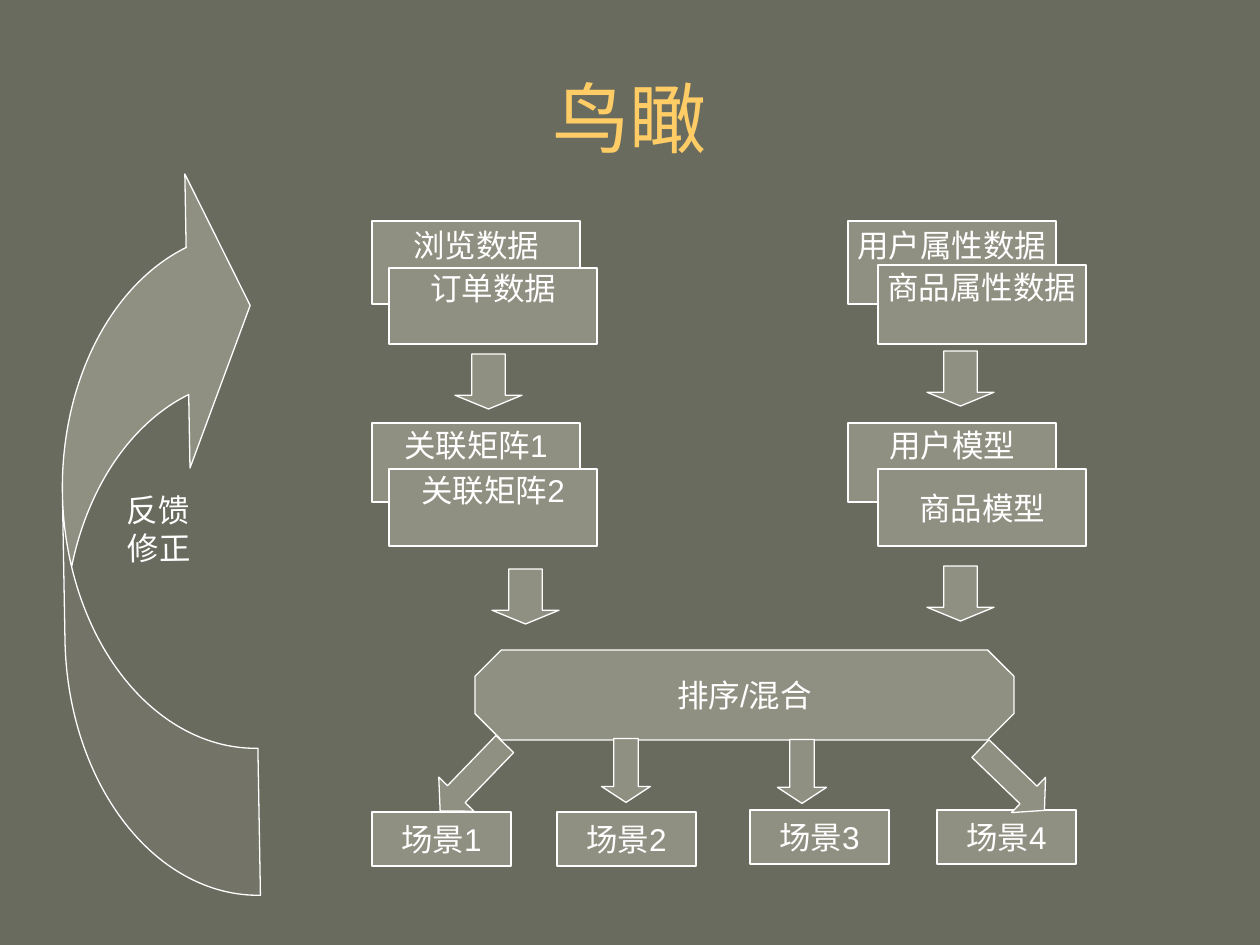
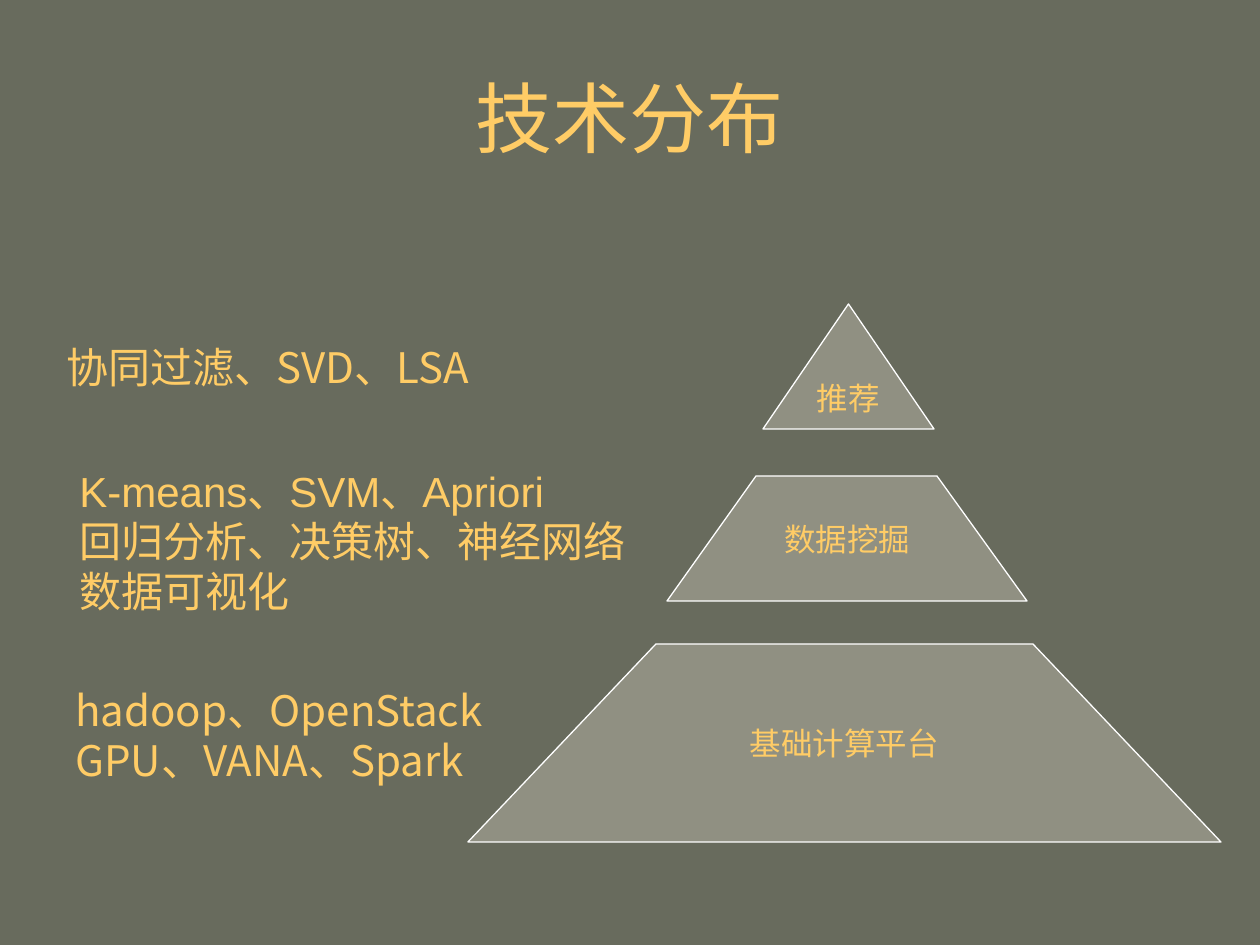
from dataclasses import dataclass

from lxml import etree
from pptx import Presentation
from pptx.dml.color import RGBColor
from pptx.enum import shapes, text
from pptx.oxml.ns import qn
from pptx.util import Pt

PX = 7257.14  # EMU per px, 126 px to the inch
KIND = shapes.MSO_SHAPE


@dataclass(frozen=True)
class Theme:
    ground: RGBColor = RGBColor.from_string("686B5D")
    panel: RGBColor = RGBColor.from_string("909082")
    white: RGBColor = RGBColor.from_string("FFFFFF")
    gold: RGBColor = RGBColor.from_string("FFCC66")
    latin: str = "Arial"
    cjk: str = "Noto Sans CJK SC"
    title_size: int = 44
    list_size: int = 24
    label_size: int = 18
    leading: float = 1.2
    outline: float = 0.75


THEME = Theme()

# ---- Content; every length is in px ----
TITLE_BOX = (63, 38, 1134, 157)
OVERVIEW = "鸟瞰"
STACK_W = 208
# label, left, top, height, whether the label sits above the middle
STACKS = [
    ("浏览数据", 372, 221, 83, True),
    ("用户属性数据", 848, 221, 83, True),
    ("订单数据", 389, 268, 76, True),
    ("商品属性数据", 878, 265, 79, True),
    ("用户模型", 848, 423, 79, True),
    ("商品模型", 878, 469, 77, False),
    ("关联矩阵1", 372, 423, 79, True),
    ("关联矩阵2", 389, 469, 77, True),
]
LIFT = 36  # bottom inset that raises a label
BLEND = ("排序/混合", (475, 650, 539, 90), 0.293)
SCENE_SIZE = (139, 54)
SCENES = [("场景1", 372, 812), ("场景2", 557, 812),
          ("场景3", 750, 810), ("场景4", 937, 810)]
FEEDBACK = (["反馈", "修正"], (63, 160, 191, 737), (0.77, 1.54, 0.33), 179)
FLOW_SIZE = (67, 55)
FLOWS = [(455, 354), (927, 351), (492, 569), (927, 566)]
SCENE_ARROW_H = 49
# left, top, length, rotation, head
SCENE_ARROWS = [(426, 753, 93, 134, 0.475), (594, 746, 64, 90, 0.326),
                (770, 747, 64, 90, 0.327), (968, 755, 89, 44, 0.452)]

TECHNOLOGY = "技术分布"
PEAK = ("推荐", (763, 304, 171, 125))
# label, font, top, bottom, upper edge (left, right), lower edge (left, right)
TIERS = [
    ("基础计算平台", THEME.cjk, 644, 842, (656, 1033), (468, 1221)),
    ("数据挖掘", THEME.latin, 476, 601, (756, 937), (667, 1027)),
]
TECH_LISTS = [
    (["K-means、SVM、Apriori", "回归分析、决策树、神经网络", "数据可视化"],
     THEME.latin, (67, 459, 640, 164)),
    (["协同过滤、SVD、LSA"], THEME.cjk, (54, 335, 459, 63)),
    (["hadoop、OpenStack", "GPU、VANA、Spark"], THEME.cjk, (63, 678, 580, 113)),
]


# ---- Helpers ----
def emu(*lengths):
    return [round(length * PX) for length in lengths]


def write(frame, lines, size, color, font=THEME.latin, centred=True):
    frame.text = "\n".join(lines)
    for line in frame.paragraphs:
        line.alignment = text.PP_ALIGN.CENTER if centred else text.PP_ALIGN.LEFT
        line.line_spacing = Pt(round(size * THEME.leading, 1))
        line.font.size = Pt(size)
        line.font.name = font
        line.font.color.rgb = color
        east_asian = etree.Element(qn("a:ea"), typeface=THEME.cjk)
        line.font._element.find(qn("a:latin")).addnext(east_asian)


def dress(part, lines=(), color=THEME.white, font=THEME.latin):
    part.shadow.inherit = False
    part.fill.solid()
    part.fill.fore_color.rgb = THEME.panel
    part.line.color.rgb = THEME.white
    part.line.width = Pt(THEME.outline)
    if lines:
        frame = part.text_frame
        frame.word_wrap = False
        frame.vertical_anchor = text.MSO_ANCHOR.MIDDLE
        write(frame, lines, THEME.label_size, color, font)
    return part


def add_part(slide, kind, box, lines=(), adjust=(), rotation=0, color=THEME.white):
    part = slide.shapes.add_shape(kind, *emu(*box))
    for index, value in enumerate(adjust):
        part.adjustments[index] = value
    part.rotation = rotation
    return dress(part, lines, color)


def add_titled_slide(prs, heading):
    slide = prs.slides.add_slide(prs.slide_layouts[5])
    title = slide.shapes.title
    title.left, title.top, title.width, title.height = emu(*TITLE_BOX)
    title.text_frame.vertical_anchor = text.MSO_ANCHOR.MIDDLE
    write(title.text_frame, [heading], THEME.title_size, THEME.gold)
    return slide


# ---- Slides ----
def build_overview(prs):
    slide = add_titled_slide(prs, OVERVIEW)

    # Data and model boxes
    for label, left, top, height, lifted in STACKS:
        box = add_part(slide, KIND.RECTANGLE, (left, top, STACK_W, height), [label])
        if lifted:
            box.text_frame.margin_top = 0
            box.text_frame.margin_bottom = emu(LIFT)[0]

    # Blending step and the scenes it feeds
    label, box, corner = BLEND
    add_part(slide, KIND.OCTAGON, box, [label], [corner])
    for label, left, top in SCENES:
        add_part(slide, KIND.RECTANGLE, (left, top, *SCENE_SIZE), [label])

    # Feedback loop, its text turned upright again
    lines, box, bends, rotation = FEEDBACK
    loop = add_part(slide, KIND.CURVED_LEFT_ARROW, box, lines, bends, rotation)
    loop.text_frame._txBody.bodyPr.set("rot", str(180 * 60000))

    # Arrows
    for left, top in FLOWS:
        add_part(slide, KIND.DOWN_ARROW, (left, top, *FLOW_SIZE), adjust=(0.5, 0.25))
    for left, top, length, rotation, head in SCENE_ARROWS:
        add_part(slide, KIND.RIGHT_ARROW, (left, top, length, SCENE_ARROW_H),
                 adjust=(0.5, head), rotation=rotation)


def build_technology(prs):
    slide = add_titled_slide(prs, TECHNOLOGY)

    # Pyramid
    for label, font, top, bottom, upper, lower in TIERS:
        outline = slide.shapes.build_freeform(lower[0], bottom, scale=PX)
        outline.add_line_segments(
            [(lower[1], bottom), (upper[1], top), (upper[0], top)], close=True)
        dress(outline.convert_to_shape(), [label], THEME.gold, font)
    label, box = PEAK
    add_part(slide, KIND.ISOSCELES_TRIANGLE, box, [label], color=THEME.gold)

    # Technologies beside each tier
    for lines, font, box in TECH_LISTS:
        frame = slide.shapes.add_textbox(*emu(*box)).text_frame
        frame.word_wrap = True
        write(frame, lines, THEME.list_size, THEME.gold, font, centred=False)


def main():
    prs = Presentation()
    prs.slide_width, prs.slide_height = emu(1260, 945)
    ground = prs.slide_master.background.fill
    ground.solid()
    ground.fore_color.rgb = THEME.ground
    build_overview(prs)
    build_technology(prs)
    prs.save("out.pptx")


if __name__ == "__main__":
    main()
